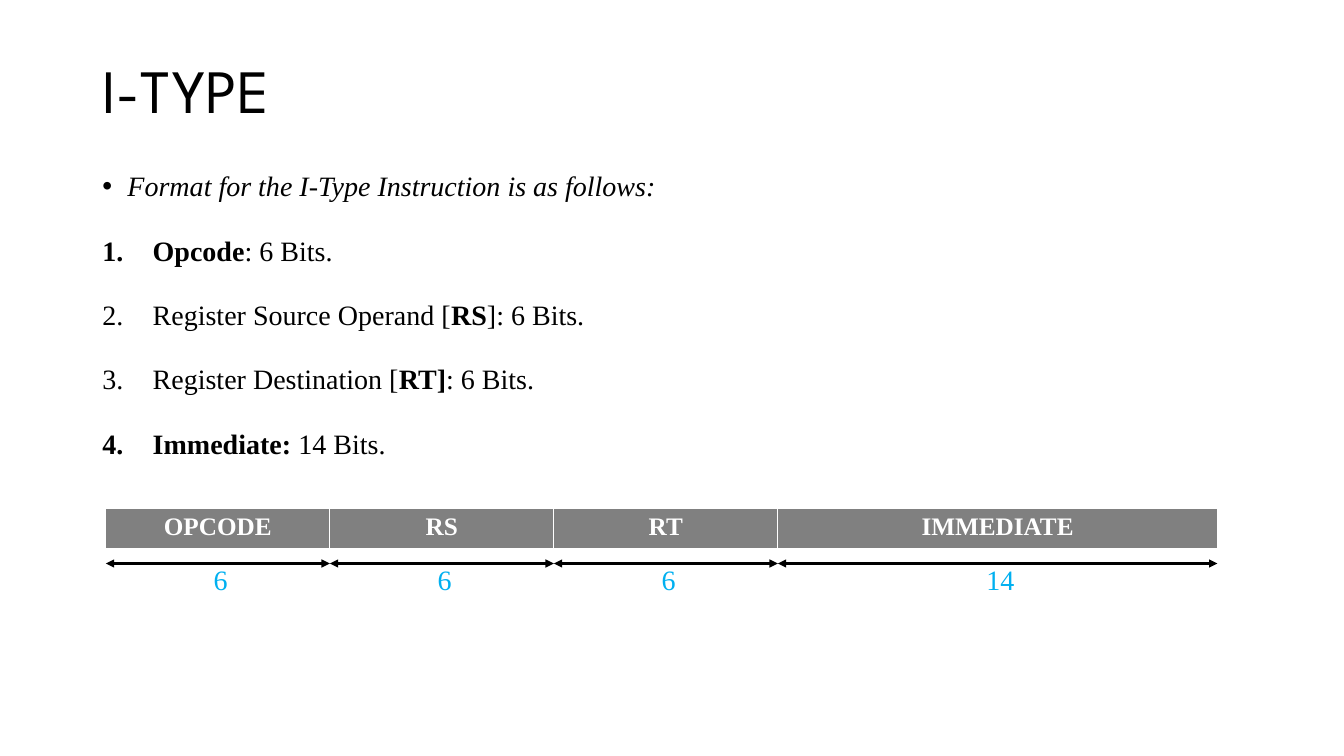
from pptx import Presentation
from pptx.dml.color import RGBColor
from pptx.enum.shapes import MSO_CONNECTOR
from pptx.enum.text import MSO_ANCHOR, PP_ALIGN
from pptx.oxml.ns import qn
from pptx.util import Pt
from lxml.etree import SubElement


def paint(hue):
    return RGBColor.from_string(hue)


def add_run(par, text, size, hue, bold=False, face="Times New Roman"):
    run = par.add_run()
    run.text = text
    font = run.font
    font.size, font.name, font.bold = Pt(size), face, bold
    font.color.rgb = paint(hue)
    return run


deck = Presentation()
deck.slide_width, deck.slide_height = Pt(960), Pt(540)
slide = deck.slides.add_slide(deck.slide_layouts[5])
shapes = slide.shapes

# Title
title = shapes.title
title.left, title.top, title.width, title.height = Pt(66), Pt(28.75), Pt(828), Pt(76.25)
frame = title.text_frame
frame.vertical_anchor = MSO_ANCHOR.MIDDLE
par = frame.paragraphs[0]
par.alignment = PP_ALIGN.LEFT
par.line_spacing = 0.9
add_run(par, "I-TYPE", 44, "000000", face="League Spartan")

# Intro bullet and numbered fields: (text, bold) runs
items = [
    [("Format for the I-Type Instruction is as follows:", False)],
    [("Opcode", True), (": 6 Bits.", False)],
    [("Register Source Operand [", False), ("RS", True), ("]: 6 Bits.", False)],
    [("Register Destination [", False), ("RT]", True), (": 6 Bits.", False)],
    [("Immediate: ", True), ("14 Bits.", False)],
]
frame = shapes.add_textbox(Pt(66), Pt(105), Pt(828), Pt(250)).text_frame
frame.word_wrap = True
for i, item in enumerate(items):
    par = frame.add_paragraph() if i else frame.paragraphs[0]
    par.line_spacing = 1.5
    par.space_before = Pt(10)
    props = par._p.get_or_add_pPr()
    dent = Pt(36 if i else 18)
    props.set("marL", str(dent))
    props.set("indent", str(-dent))
    if i:
        SubElement(props, qn("a:buFont"), typeface="+mj-lt")
        SubElement(props, qn("a:buAutoNum"), type="arabicPeriod")
    else:
        SubElement(props, qn("a:buFont"), typeface="Arial")
        SubElement(props, qn("a:buChar"), char="•")
    for text, bold in item:
        run = add_run(par, text, 20, "000000", bold)
        run.font.italic = i == 0

# Instruction format: name, bits, column width
fields = [("OPCODE", 6, 160), ("RS", 6, 160), ("RT", 6, 160), ("IMMEDIATE", 14, 314)]
left = 75.6
total = sum(wide for name, bits, wide in fields)
table = shapes.add_table(1, len(fields), Pt(left), Pt(363), Pt(total), Pt(29.2)).table

for i, (name, bits, wide) in enumerate(fields):
    table.columns[i].width = Pt(wide)
    cell = table.cell(0, i)
    cell.fill.solid()
    cell.fill.fore_color.rgb = paint("808080")
    par = cell.text_frame.paragraphs[0]
    par.alignment = PP_ALIGN.CENTER
    add_run(par, name, 18, "FFFFFF", True)

    # Width arrow below the column
    arrow = shapes.add_connector(MSO_CONNECTOR.STRAIGHT, Pt(left), Pt(402.5),
                                 Pt(left + wide), Pt(402.5))
    arrow.line.width = Pt(1.5)
    arrow.line.color.rgb = paint("000000")
    for end in ("a:headEnd", "a:tailEnd"):
        SubElement(arrow.line._ln, qn(end), type="triangle")
    SubElement(arrow._element.spPr, qn("a:effectLst"))

    # Bit count, just right of the column's centre
    frame = shapes.add_textbox(Pt(left + 2), Pt(398.5), Pt(wide), Pt(30)).text_frame
    frame.word_wrap = True
    par = frame.paragraphs[0]
    par.alignment = PP_ALIGN.CENTER
    add_run(par, str(bits), 20, "00B0F0")
    left += wide

deck.save("out.pptx")
